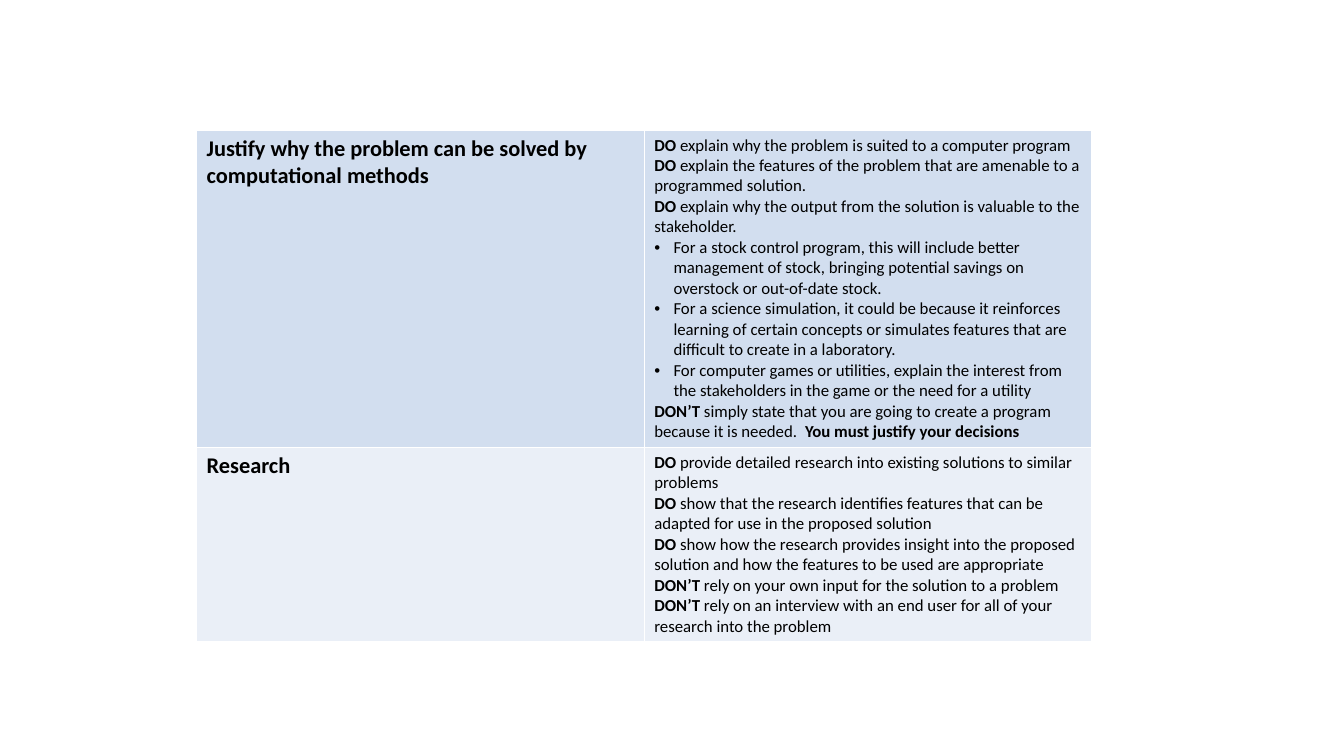
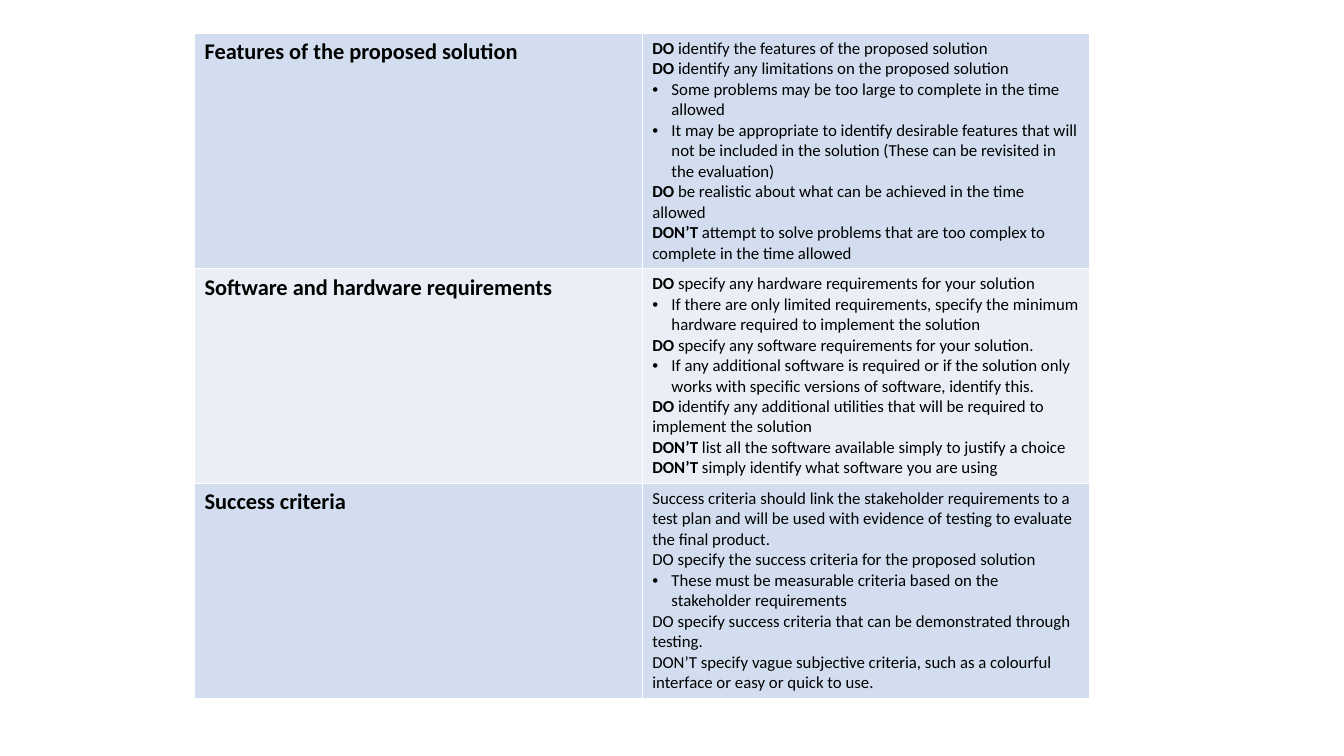
from pptx import Presentation
from pptx.dml.color import RGBColor
from pptx.oxml.ns import qn
from pptx.util import Inches, Pt
from lxml import etree

FONT = "Calibri"
BLACK = "000000"
WHITE = "FFFFFF"
BANDS = ("D2DEEF", "EAEFF7")
COL_WIDTH = 4.44
INDENT = 0.19
BLANK_LAYOUT = 6
BULLET = "• "
BOLD = "**"

ANALYSIS = [
    ("Justify why the problem can be solved by computational methods", 3.13, [
        "**DO** explain why the problem is suited to a computer program",
        "**DO** explain the features of the problem that are amenable to a programmed solution.",
        "**DO** explain why the output from the solution is valuable to the stakeholder.",
        "• For a stock control program, this will include better management of stock, "
        "bringing potential savings on overstock or out-of-date stock.",
        "• For a science simulation, it could be because it reinforces learning of certain "
        "concepts or simulates features that are difficult to create in a laboratory.",
        "• For computer games or utilities, explain the interest from the stakeholders "
        "in the game or the need for a utility",
        "**DON’T** simply state that you are going to create a program because it is needed.  "
        "**You must justify your decisions**",
    ]),
    ("Research", 1.92, [
        "**DO** provide detailed research into existing solutions to similar problems",
        "**DO** show that the research identifies features that can be adapted for use "
        "in the proposed solution",
        "**DO** show how the research provides insight into the proposed solution "
        "and how the features to be used are appropriate",
        "**DON’T** rely on your own input for the solution to a problem",
        "**DON’T** rely on an interview with an end user for all of your research into the problem",
    ]),
]

SOLUTION = [
    ("Features of the proposed solution", 2.32, [
        "**DO** identify the features of the proposed solution",
        "**DO** identify any limitations on the proposed solution",
        "• Some problems may be too large to complete in the time allowed",
        "• It may be appropriate to identify desirable features that will not be included "
        "in the solution (These can be revisited in the evaluation)",
        "**DO** be realistic about what can be achieved in the time allowed",
        "**DON’T** attempt to solve problems that are too complex to complete in the time allowed",
    ]),
    ("Software and hardware requirements", 2.12, [
        "**DO** specify any hardware requirements for your solution",
        "• If there are only limited requirements, specify the minimum hardware required "
        "to implement the solution",
        "**DO** specify any software requirements for your solution.",
        "• If any additional software is required or if the solution only works with "
        "specific versions of software, identify this.",
        "**DO** identify any additional utilities that will be required to implement the solution",
        "**DON’T** list all the software available simply to justify a choice",
        "**DON’T** simply identify what software you are using",
    ]),
    ("Success criteria", 2.12, [
        "Success criteria should link the stakeholder requirements to a test plan and will be "
        "used with evidence of testing to evaluate the final product.",
        "DO specify the success criteria for the proposed solution",
        "• These must be measurable criteria based on the stakeholder requirements",
        "DO specify success criteria that can be demonstrated through testing.",
        "DON’T specify vague subjective criteria, such as a colourful interface "
        "or easy or quick to use.",
    ]),
]


def rgb(color):
    return RGBColor.from_string(color)


def add_run(p, text, size=12, bold=False, color=BLACK):
    r = p.add_run()
    r.text = text
    r.font.name = FONT
    r.font.size = Pt(size)
    r.font.bold = bold
    r.font.color.rgb = rgb(color)


def set_bullet(p):
    pPr = p._p.get_or_add_pPr()
    pPr.set("marL", str(Inches(INDENT)))
    pPr.set("indent", str(-Inches(INDENT)))
    etree.SubElement(pPr, qn("a:buFont"), typeface="Arial")
    etree.SubElement(pPr, qn("a:buChar"), char=BULLET.strip())


def write_lines(tf, lines, **fmt):
    for i, line in enumerate(lines):
        p = tf.add_paragraph() if i else tf.paragraphs[0]
        if line.startswith(BULLET):
            set_bullet(p)
            line = line[len(BULLET):]
        for j, part in enumerate(line.split(BOLD)):
            if part:
                add_run(p, part, **{"bold": j % 2 == 1, **fmt})


def style_cell(cell, fill, border=WHITE):
    tcPr = cell._tc.get_or_add_tcPr()
    for side in ("lnL", "lnR", "lnT", "lnB"):
        ln = etree.SubElement(tcPr, qn("a:" + side), w=str(Pt(1)))
        solid = etree.SubElement(ln, qn("a:solidFill"))
        etree.SubElement(solid, qn("a:srgbClr"), val=border)
    cell.fill.solid()
    cell.fill.fore_color.rgb = rgb(fill)


def add_guidance_slide(prs, left, top, sections):
    s = prs.slides.add_slide(prs.slide_layouts[BLANK_LAYOUT])
    height = sum(row_height for _, row_height, _ in sections)
    table = s.shapes.add_table(len(sections), 2, Inches(left), Inches(top),
                               Inches(2 * COL_WIDTH), Inches(height)).table
    table.first_row = False
    table.horz_banding = False
    for column in table.columns:
        column.width = Inches(COL_WIDTH)
    for i, (heading, row_height, advice) in enumerate(sections):
        table.rows[i].height = Inches(row_height)
        heading_cell, advice_cell = table.rows[i].cells
        write_lines(heading_cell.text_frame, [heading], size=16, bold=True)
        write_lines(advice_cell.text_frame, advice)
        for cell in (heading_cell, advice_cell):
            style_cell(cell, BANDS[i % 2])


def main():
    prs = Presentation()
    prs.slide_width = Inches(13.33)
    prs.slide_height = Inches(7.5)
    add_guidance_slide(prs, 1.95, 1.29, ANALYSIS)
    add_guidance_slide(prs, 1.93, 0.33, SOLUTION)
    prs.save("out.pptx")


main()
